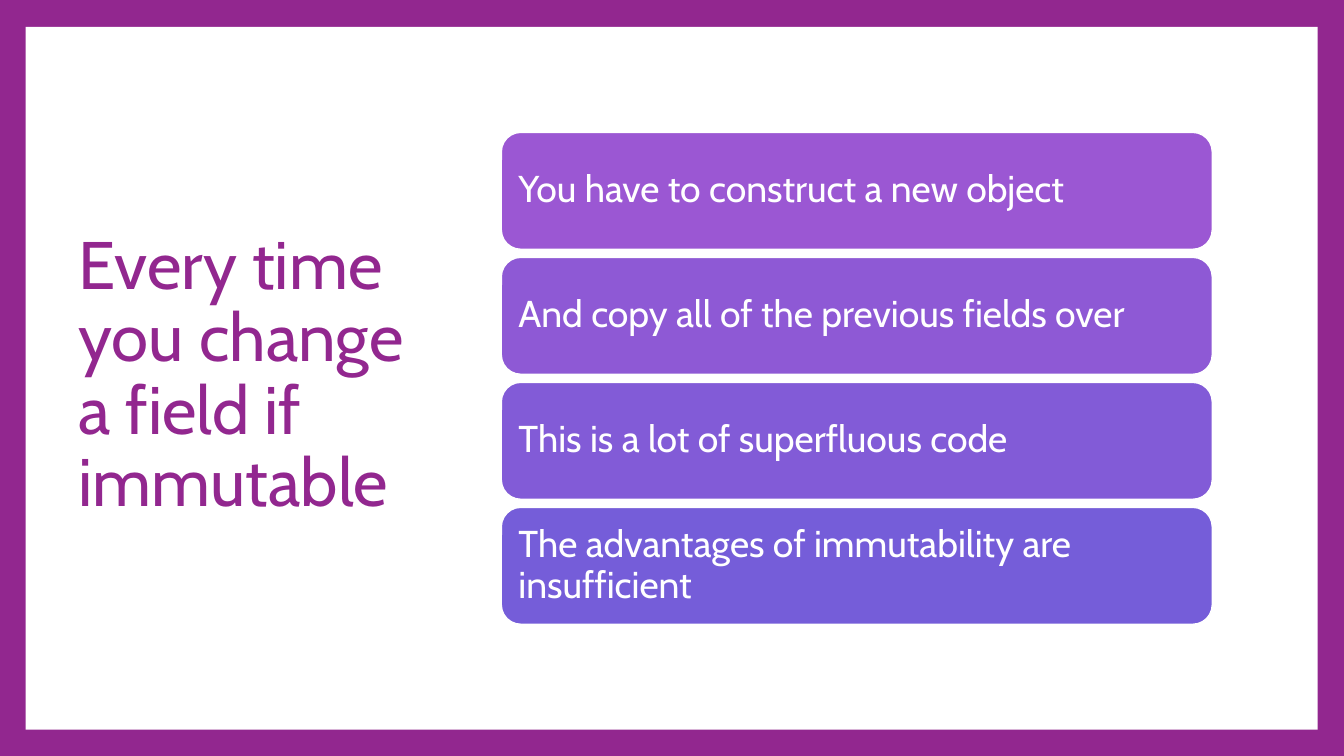
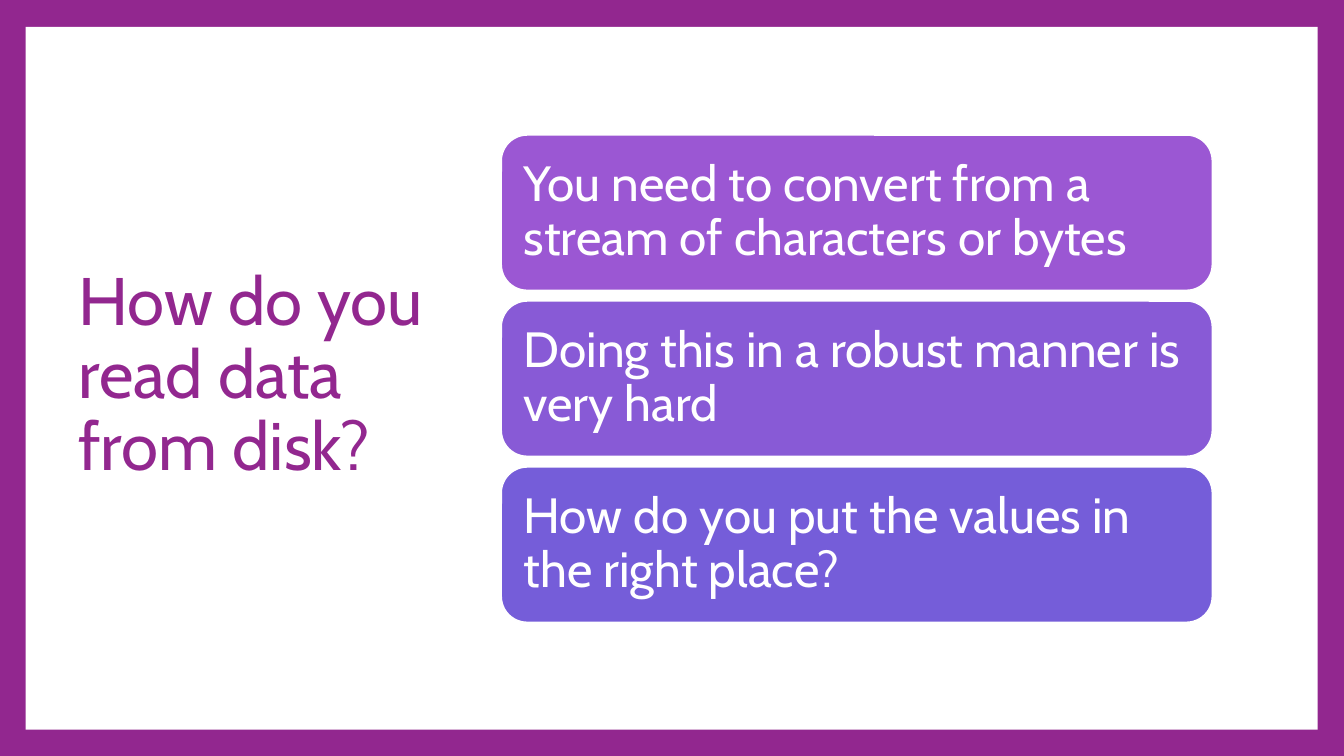
from dataclasses import dataclass

from pptx import Presentation
from pptx.dml.color import RGBColor
from pptx.enum.shapes import MSO_SHAPE
from pptx.enum.text import MSO_ANCHOR, PP_ALIGN
from pptx.presentation import Presentation as Deck
from pptx.slide import Slide
from pptx.text.text import TextFrame
from pptx.util import Inches, Pt

PURPLE = RGBColor(0x92, 0x27, 0x8F)
WHITE = RGBColor(0xFF, 0xFF, 0xFF)
FIRST_CARD = RGBColor(0x9B, 0x57, 0xD3)
LAST_CARD = RGBColor(0x75, 0x5D, 0xD9)
FONT = "Cabin"
BLANK_LAYOUT = 6
CARD_LEFT, CARD_WIDTH = 7.46, 10.58


@dataclass(frozen=True)
class TextStyle:
    size: float
    color: RGBColor
    margin_x: float
    margin_y: float


@dataclass(frozen=True)
class CardSlide:
    title: str
    cards: tuple[str, ...]
    top: float
    height: float
    pitch: float
    style: TextStyle


TITLE_STYLE = TextStyle(72, PURPLE, 0.1, 0.05)

CARD_SLIDES = (
    CardSlide(
        "Every time you change a field if immutable",
        (
            "You have to construct a new object",
            "And copy all of the previous fields over",
            "This is a lot of superfluous code",
            "The advantages of immutability are insufficient",
        ),
        top=1.97, height=1.74, pitch=1.86,
        style=TextStyle(40, WHITE, 0.17, 0.17),
    ),
    CardSlide(
        "How do you read data from disk?",
        (
            "You need to convert from a stream of characters or bytes",
            "Doing this in a robust manner is very hard",
            "How do you put the values in the right place?",
        ),
        top=2.01, height=2.31, pitch=2.47,
        style=TextStyle(53, WHITE, 0.22, 0.22),
    ),
)


def apply_format(target: object, values: dict[str, object]) -> None:
    for name, value in values.items():
        setattr(target, name, value)


def write_text(frame: TextFrame, text: str, style: TextStyle) -> None:
    apply_format(frame, {
        "word_wrap": True,
        "vertical_anchor": MSO_ANCHOR.MIDDLE,
        "margin_left": Inches(style.margin_x),
        "margin_right": Inches(style.margin_x),
        "margin_top": Inches(style.margin_y),
        "margin_bottom": Inches(style.margin_y),
    })
    paragraph = frame.paragraphs[0]
    apply_format(paragraph, {"alignment": PP_ALIGN.LEFT, "line_spacing": 0.9})
    run = paragraph.add_run()
    run.text = text
    apply_format(run.font, {"name": FONT, "size": Pt(style.size)})
    run.font.color.rgb = style.color


def card_color(position: float) -> RGBColor:
    return RGBColor(*(
        round(first + (last - first) * position)
        for first, last in zip(FIRST_CARD, LAST_CARD)
    ))


def draw_frame(slide: Slide) -> None:
    slide.background.fill.solid()
    slide.background.fill.fore_color.rgb = PURPLE
    panel = slide.shapes.add_shape(
        MSO_SHAPE.RECTANGLE, Inches(0.38), Inches(0.4), Inches(19.23), Inches(10.46))
    panel.shadow.inherit = False
    panel.fill.solid()
    panel.fill.fore_color.rgb = WHITE
    panel.line.fill.background()


def draw_title(slide: Slide, title: str) -> None:
    box = slide.shapes.add_textbox(Inches(1.07), Inches(1), Inches(5.52), Inches(9.2))
    write_text(box.text_frame, title, TITLE_STYLE)


def draw_cards(slide: Slide, content: CardSlide) -> None:
    for index, text in enumerate(content.cards):
        card = slide.shapes.add_shape(
            MSO_SHAPE.ROUNDED_RECTANGLE,
            Inches(CARD_LEFT), Inches(content.top + index * content.pitch),
            Inches(CARD_WIDTH), Inches(content.height))
        card.shadow.inherit = False
        card.fill.solid()
        card.fill.fore_color.rgb = card_color(index / (len(content.cards) - 1))
        card.line.color.rgb = WHITE
        card.line.width = Pt(1.5)
        write_text(card.text_frame, text, content.style)


def add_card_slide(presentation: Deck, content: CardSlide) -> None:
    slide = presentation.slides.add_slide(presentation.slide_layouts[BLANK_LAYOUT])
    draw_frame(slide)
    draw_title(slide, content.title)
    draw_cards(slide, content)


def main() -> None:
    presentation = Presentation()
    apply_format(presentation, {
        "slide_width": Inches(20),
        "slide_height": Inches(11.25),
    })
    for content in CARD_SLIDES:
        add_card_slide(presentation, content)
    presentation.save("out.pptx")


main()
